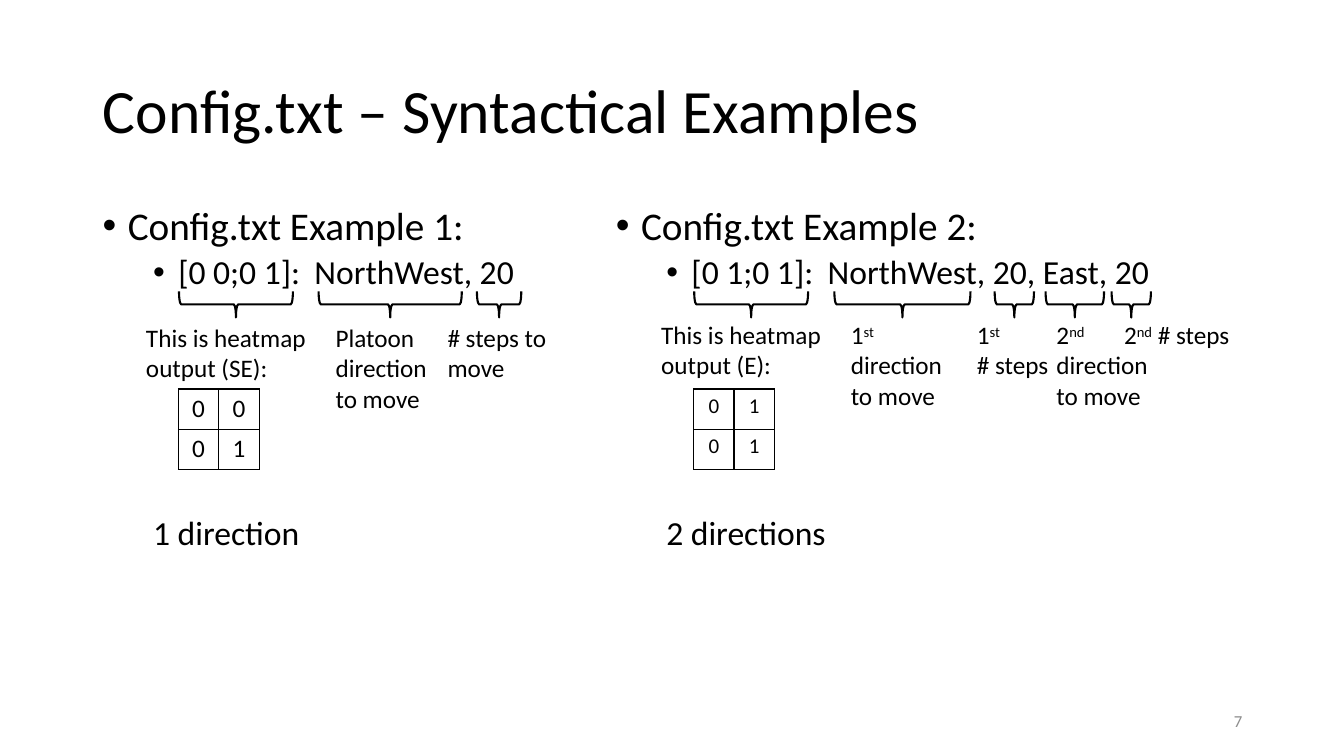
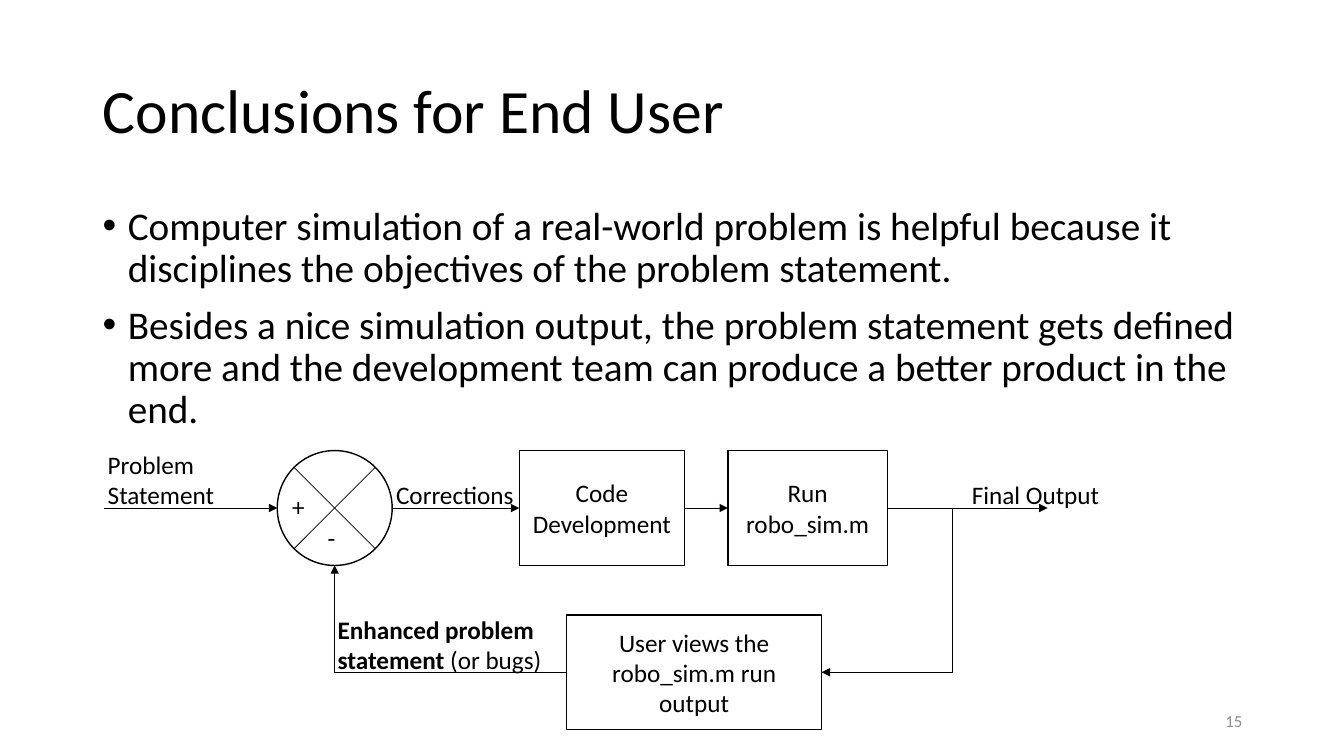
from dataclasses import dataclass
from math import sqrt

from lxml.etree import SubElement
from pptx import Presentation
from pptx.dml.color import RGBColor
from pptx.enum.shapes import MSO_CONNECTOR, MSO_SHAPE
from pptx.enum.text import MSO_ANCHOR, MSO_AUTO_SIZE, PP_ALIGN
from pptx.oxml import parse_xml
from pptx.oxml.ns import nsdecls, qn
from pptx.util import Emu, Inches, Pt

BLACK = RGBColor(0x00, 0x00, 0x00)
WHITE = RGBColor(0xFF, 0xFF, 0xFF)
GRAY = RGBColor(0x8C, 0x8C, 0x8C)
FONT = "Calibri"
SLIDE_COLUMNS, SLIDE_ROWS = 13.33, 7.5
MODULE = Inches(1)


@dataclass
class Box:
    left: float
    top: float
    width: float
    height: float

    def inside(self, dx, dy, width, height):
        return Box(self.left + dx, self.top + dy, width, height)

    def point(self, dx, dy):
        return grid(self.left + dx), grid(self.top + dy)

    def lengths(self):
        return [grid(n) for n in (self.left, self.top, self.width, self.height)]


def grid(modules):
    return Emu(round(modules * MODULE))


TITLE_BOX = Box(0.92, 0.4, 11.5, 1.45)
BODY_BOX = Box(0.92, 2, 11.5, 4.76)
NUMBER_BOX = Box(9.42, 6.95, 3, 0.4)
FLOW_BOX = Box(0.92, 4.47, 11.5, 2.77)

TITLE_FRAME = {"vertical_anchor": MSO_ANCHOR.MIDDLE, "word_wrap": True,
               "auto_size": MSO_AUTO_SIZE.NONE}
BODY_FRAME = {"word_wrap": True, "auto_size": MSO_AUTO_SIZE.NONE}
LABEL_FRAME = {"word_wrap": False, "auto_size": MSO_AUTO_SIZE.SHAPE_TO_FIT_TEXT}
CAPTION_FRAME = {"word_wrap": True, "auto_size": MSO_AUTO_SIZE.SHAPE_TO_FIT_TEXT}
NODE_FRAME = {"vertical_anchor": MSO_ANCHOR.MIDDLE, "word_wrap": True}
CELL_FORMAT = {"margin_left": grid(0.08), "margin_right": grid(0.08),
               "margin_top": grid(0.04), "margin_bottom": grid(0.04)}
PLAIN_TABLE = {"first_row": False, "horz_banding": False}
LEFT = {"alignment": PP_ALIGN.LEFT}
CENTERED = {"alignment": PP_ALIGN.CENTER}
TITLE_LINE = {"alignment": PP_ALIGN.LEFT, "line_spacing": 0.9}
POINT = {"line_spacing": 0.9, "space_before": Pt(10)}
SUBPOINT = {"level": 1, "line_spacing": 0.9, "space_before": Pt(5)}
SUMMARY = {"level": 1, "line_spacing": 0.9, "space_before": Pt(160)}


def apply(target, values):
    for name, value in values.items():
        setattr(target, name, value)


def superscript(run):
    run.font._element.set("baseline", "30000")


def bold(run):
    run.font.bold = True


def write_line(paragraph, text, size=18, values=LEFT, color=BLACK, marked=superscript):
    apply(paragraph, values)
    for index, part in enumerate(text.split("^")):
        if part:
            run = paragraph.add_run()
            run.text = part
            apply(run.font, {"size": Pt(size), "name": FONT})
            run.font.color.rgb = color
            if index % 2:
                marked(run)


def write(frame, lines, frame_values, **line_values):
    apply(frame, frame_values)
    for index, text in enumerate(lines):
        paragraph = frame.add_paragraph() if index else frame.paragraphs[0]
        write_line(paragraph, text, **line_values)


def label(shapes, box, lines, frame_values=LABEL_FRAME, **line_values):
    write(shapes.add_textbox(*box.lengths()).text_frame, lines, frame_values, **line_values)


def indent(paragraph, margin, hanging=0.0, tab=None):
    properties = paragraph._p.get_or_add_pPr()
    properties.set("marL", str(grid(margin)))
    properties.set("indent", str(grid(-hanging)))
    if hanging:
        SubElement(properties, qn("a:buFont"), typeface="Arial")
        SubElement(properties, qn("a:buChar"), char="\u2022")
    if tab:
        stops = SubElement(properties, qn("a:tabLst"))
        SubElement(stops, qn("a:tab"), pos=str(grid(tab)), algn="l")


def body(slide, box, points):
    frame = slide.shapes.add_textbox(*box.lengths()).text_frame
    apply(frame, BODY_FRAME)
    for index, (text, size, values, indents) in enumerate(points):
        paragraph = frame.add_paragraph() if index else frame.paragraphs[0]
        write_line(paragraph, text, size, values)
        indent(paragraph, **indents)


def titled_slide(deck, title, number):
    slide = deck.slides.add_slide(deck.slide_layouts[5])
    left, top, width, height = TITLE_BOX.lengths()
    apply(slide.shapes.title, {"left": left, "top": top, "width": width, "height": height})
    write(slide.shapes.title.text_frame, [title], TITLE_FRAME, size=44, values=TITLE_LINE)
    label(slide.shapes, NUMBER_BOX, [number], TITLE_FRAME, size=12,
          values={"alignment": PP_ALIGN.RIGHT}, color=GRAY)
    return slide


def outlined(shapes, kind, box, weight, filled=True):
    shape = shapes.add_shape(kind, *box.lengths())
    shape.shadow.inherit = False
    if filled:
        shape.fill.solid()
        shape.fill.fore_color.rgb = WHITE
    else:
        shape.fill.background()
    shape.line.color.rgb = BLACK
    shape.line.width = Pt(weight)
    return shape


def brace(slide, panel, center, width):
    depth = 0.26
    box = panel.inside(center - depth / 2, 1.02 - width / 2, depth, width)
    outlined(slide.shapes, MSO_SHAPE.RIGHT_BRACE, box, 1.5, filled=False).rotation = 90


def heatmap(slide, box, values, size):
    table = slide.shapes.add_table(len(values), len(values[0]), *box.lengths()).table
    apply(table, PLAIN_TABLE)
    for row, row_values in enumerate(values):
        for column, value in enumerate(row_values):
            cell = table.cell(row, column)
            apply(cell, CELL_FORMAT)
            cell.fill.background()
            write_line(cell.text_frame.paragraphs[0], value, size, CENTERED)
            properties = cell._tc.get_or_add_tcPr()
            for index, side in enumerate(("lnL", "lnR", "lnT", "lnB")):
                properties.insert(index, parse_xml(
                    f'<a:{side} {nsdecls("a")} w="{Pt(1)}"><a:solidFill>'
                    f'<a:srgbClr val="{BLACK}"/></a:solidFill></a:{side}>'))


def example(slide, box, heading, syntax, summary, braces, labels, label_top,
            heatmap_left, heatmap_values, heatmap_size):
    body(slide, box, [
        (heading, 28, POINT, {"margin": 0.25, "hanging": 0.25}),
        (syntax, 24, SUBPOINT, {"margin": 0.75, "hanging": 0.25, "tab": 2.1}),
        (summary, 24, SUMMARY, {"margin": 0.5}),
    ])
    for center, width in braces:
        brace(slide, box, center, width)
    for left, width, lines in labels:
        height = 0.1 + 0.3 * len(lines)
        label(slide.shapes, box.inside(left, label_top, width, height), lines)
    heatmap(slide, box.inside(heatmap_left, 1.86, 0.8, 0.8), heatmap_values, heatmap_size)


def line(shapes, begin, end, arrow=None, bent=False):
    connector = shapes.add_connector(
        MSO_CONNECTOR.ELBOW if bent else MSO_CONNECTOR.STRAIGHT, *begin, *end)
    connector.line.color.rgb = BLACK
    connector.line.width = Pt(0.5)
    properties = connector._element.spPr
    if bent:
        properties.find(qn("a:prstGeom")).set("prst", "bentConnector2")
    if arrow:
        SubElement(properties.find(qn("a:ln")), qn(f"a:{arrow}"), type="triangle")
    SubElement(properties, qn("a:effectLst"))
    return connector


def comparator(slide, box):
    shapes = slide.shapes.add_group_shape().shapes
    outlined(shapes, MSO_SHAPE.OVAL, box, 1)
    near = box.width * (1 - sqrt(0.5)) / 2
    far = box.width - near
    line(shapes, box.point(near, near), box.point(far, far))
    line(shapes, box.point(far, near), box.point(near, far))
    label(shapes, box.inside(0.05, 0.36, 0.33, 0.4), ["+"])
    label(shapes, box.inside(0.4, 0.66, 0.28, 0.4), ["-"])


def process(slide, box, text):
    node = outlined(slide.shapes, MSO_SHAPE.RECTANGLE, box, 1)
    write(node.text_frame, [text], NODE_FRAME, values=CENTERED)
    return node


def feedback_loop(slide, box):
    shapes = slide.shapes
    side, middle, lower = 1.14, 0.57, 1.63
    circle_left, branch = 1.83, 8.53
    circle_right = circle_left + side
    circle_center = circle_left + side / 2
    return_row = lower + middle

    comparator(slide, box.inside(circle_left, 0, side, side))
    development = process(slide, box.inside(4.23, 0, 1.64, side), "Code Development")
    run = process(slide, box.inside(6.3, 0, 1.58, side), "Run robo_sim.m")
    review = process(slide, box.inside(4.7, lower, 2.53, side),
                     "User views the robo_sim.m run output")

    line(shapes, box.point(0.11, middle), box.point(circle_left, middle), "tailEnd")
    corrections = line(shapes, box.point(circle_right, middle),
                       box.point(4.23, middle), "tailEnd")
    corrections.end_connect(development, 1)
    handover = line(shapes, box.point(5.87, middle), box.point(6.3, middle), "tailEnd")
    handover.begin_connect(development, 3)
    handover.end_connect(run, 1)
    output = line(shapes, box.point(7.88, middle), box.point(9.47, middle), "tailEnd")
    output.begin_connect(run, 3)
    viewing = line(shapes, box.point(7.23, return_row), box.point(branch, middle),
                   "headEnd", bent=True)
    viewing.begin_connect(review, 3)
    feedback = line(shapes, box.point(4.7, return_row), box.point(circle_center, side),
                    "tailEnd", bent=True)
    feedback.begin_connect(review, 1)

    for left, top, width, height, text in (
            (8.62, 0.24, 1.72, 0.4, "Final Output"),
            (2.33, 1.57, 2.29, 0.71, "^Enhanced problem statement ^(or bugs)"),
            (0.05, -0.06, 1.72, 0.71, "Problem Statement"),
            (2.91, 0.24, 1.72, 0.4, "Corrections")):
        label(shapes, box.inside(left, top, width, height), [text], CAPTION_FRAME, marked=bold)


def examples_slide(deck):
    slide = titled_slide(deck, "Config.txt \u2013 Syntactical Examples", "7")
    example(
        slide, BODY_BOX.inside(0, 0, 7.38, 4.76), "Config.txt Example 1:",
        "[0 0;0 1]:\tNorthWest, 20", "1 direction",
        braces=[(1.42, 1.13), (2.95, 1.42), (4.03, 0.44)],
        labels=[(0.43, 1.8, ["This is heatmap", "output (SE):"]),
                (2.31, 1.18, ["Platoon", "direction", "to move"]),
                (3.42, 1.19, ["# steps to", "move"])],
        label_top=1.15, heatmap_left=0.85, heatmap_values=["00", "01"], heatmap_size=18)
    example(
        slide, BODY_BOX.inside(5.09, 0, 7.38, 4.76), "Config.txt Example 2:",
        "[0 1;0 1]:\tNorthWest, 20, East, 20", "2 directions",
        braces=[(1.44, 1.13), (2.94, 1.35), (4.05, 0.39), (4.65, 0.58), (5.21, 0.39)],
        labels=[(0.45, 1.8, ["This is heatmap", "output (E):"]),
                (2.33, 1.18, ["1^st^", "direction", "to move"]),
                (3.58, 0.92, ["1^st^", "# steps"]),
                (4.37, 1.22, ["2^nd^", "direction", "to move"]),
                (5.04, 1.28, ["2^nd^ # steps"])],
        label_top=1.12, heatmap_left=0.87, heatmap_values=["01", "01"], heatmap_size=15)


def conclusions_slide(deck):
    slide = titled_slide(deck, "Conclusions for End User", "15")
    body(slide, BODY_BOX, [(text, 28, POINT, {"margin": 0.25, "hanging": 0.25}) for text in (
        "Computer simulation of a real-world problem is helpful because it "
        "disciplines the objectives of the problem statement.",
        "Besides a nice simulation output, the problem statement gets defined more "
        "and the development team can produce a better product in the end.")])
    feedback_loop(slide, FLOW_BOX)


deck = Presentation()
apply(deck, {"slide_width": grid(SLIDE_COLUMNS), "slide_height": grid(SLIDE_ROWS)})
examples_slide(deck)
conclusions_slide(deck)
deck.save("out.pptx")
